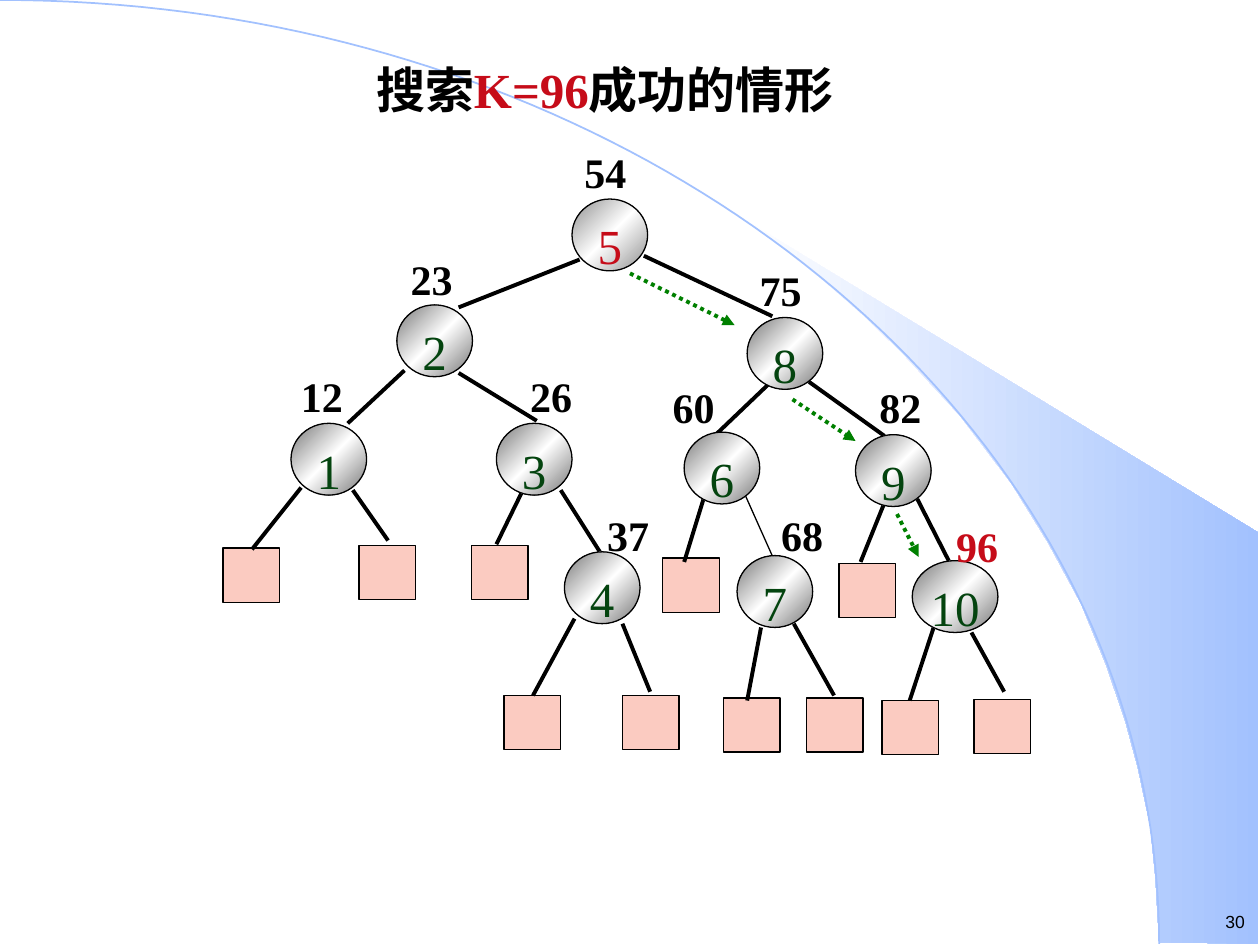
from lxml.etree import SubElement
from pptx import Presentation
from pptx.dml.color import RGBColor
from pptx.enum.dml import MSO_LINE
from pptx.enum.shapes import MSO_CONNECTOR, MSO_SHAPE
from pptx.enum.text import MSO_ANCHOR, MSO_AUTO_SIZE, PP_ALIGN
from pptx.oxml.ns import qn
from pptx.util import Inches, Pt

COLORS = {
    "black": "000000", "red": "C60C19", "digit": "04440F", "path": "008000",
    "leaf": "FBCBC1", "white": "FFFFFF", "sky": "A2C1FE",
    "gray": "767676", "root gray": "909090",
}
RGB = {name: RGBColor.from_string(value) for name, value in COLORS.items()}
SERIF = "Times New Roman"


def write(s, runs, size, font=SERIF, bold=False, align=PP_ALIGN.LEFT, insets=(0.1, 0.05)):
    tf = s.text_frame
    tf.word_wrap = True
    tf.auto_size = MSO_AUTO_SIZE.NONE
    tf.vertical_anchor = MSO_ANCHOR.TOP
    tf.margin_left = tf.margin_right = Inches(insets[0])
    tf.margin_top = Inches(insets[1])
    tf.margin_bottom = Inches(0.01)
    p = tf.paragraphs[0]
    p.alignment = align
    p.space_before = Pt(0)
    for text, color in runs:
        r = p.add_run()
        r.text = text
        r.font.size = Pt(size)
        r.font.name = font
        r.font.bold = bold
        r.font.color.rgb = RGB[color]


def shade(s, stops, angle):
    s.fill.gradient()
    s.fill.gradient_angle = angle
    gs_list = s._element.spPr.find(".//" + qn("a:gsLst"))
    gs_list.clear()
    for position, color in stops:
        gs = SubElement(gs_list, qn("a:gs"), pos=str(position * 1000))
        SubElement(gs, qn("a:srgbClr"), val=COLORS[color])


prs = Presentation()
prs.slide_width, prs.slide_height = Inches(10), Inches(7.5)
slide = prs.slides.add_slide(prs.slide_layouts[5])
sp = slide.shapes

wedge = [
    (9.2, 7.48), (9.99, 7.49), (9.99, 4.23), (5.89, 1.73), (6.24, 1.99), (6.53, 2.22),
    (6.85, 2.5), (7.16, 2.8), (7.62, 3.3), (8.03, 3.84), (8.32, 4.31), (8.58, 4.79),
    (8.78, 5.28), (8.93, 5.72), (9.03, 6.09), (9.13, 6.56), (9.17, 6.96),
]
steps = 80
arc = []
for i in range(steps + 1):
    t = i / steps
    u = 1 - t
    arc.append((3 * u * u * t * 5.08 + 3 * u * t * t * 9.2 + t ** 3 * 9.2,
                3 * u * t * t * 3.35 + t ** 3 * 7.49))

for points, closed in [(wedge, True), (arc, False)]:
    points = [(Inches(x), Inches(y)) for x, y in points]
    builder = sp.build_freeform(*points[0])
    builder.add_line_segments(points[1:], close=closed)
    s = builder.convert_to_shape()
    s.shadow.inherit = False
    if closed:
        shade(s, [(0, "white"), (100, "sky")], 0)
        s.line.fill.background()
    else:
        s.fill.background()
        s.line.color.rgb = RGB["sky"]
        s.line.width = Pt(1)

number = sp.add_textbox(Inches(9.41), Inches(7.18), Inches(0.49), Inches(0.27))
write(number, [("30", "black")], 10, "Arial", align=PP_ALIGN.RIGHT, insets=(0.02, 0.05))

title = sp.title
title.left, title.top = Inches(1.14), Inches(0.42)
title.width, title.height = Inches(7.32), Inches(0.69)
write(title, [("搜索", "black"), ("K=96", "red"), ("成功的情形", "black")], 28,
      bold=True, align=PP_ALIGN.CENTER)
sp._spTree.append(title._element)

leaves = [
    (1.77, 4.35), (2.85, 4.33), (3.74, 4.33), (5.26, 4.43), (6.66, 4.47), (4, 5.52),
    (4.94, 5.52), (5.74, 5.54), (6.4, 5.54), (7, 5.56), (7.73, 5.55),
]
for x, y in leaves:
    s = sp.add_shape(MSO_SHAPE.RECTANGLE, Inches(x), Inches(y), Inches(0.45), Inches(0.43))
    s.shadow.inherit = False
    s.fill.solid()
    s.fill.fore_color.rgb = RGB["leaf"]
    s.line.color.rgb = RGB["black"]
    s.line.width = Pt(0.75)

edges = [
    (5.11, 2.03, 6.13, 2.51), (4.6, 2.06, 3.64, 2.44), (3.21, 2.94, 2.76, 3.36),
    (3.64, 2.96, 4.26, 3.34), (6.12, 3.03, 5.67, 3.46), (6.42, 3.03, 7.02, 3.46),
    (2.39, 3.87, 2, 4.36), (2.8, 3.89, 3.08, 4.29), (4.15, 3.89, 3.94, 4.32),
    (4.45, 3.89, 4.78, 4.41), (5.59, 3.94, 5.43, 4.46), (7.02, 3.99, 6.83, 4.46),
    (7.28, 3.96, 7.56, 4.51), (4.56, 4.91, 4.23, 5.52), (4.94, 4.95, 5.16, 5.49),
    (6.04, 4.98, 5.93, 5.56), (6.3, 4.95, 6.62, 5.52), (7.41, 4.98, 7.22, 5.56),
    (7.71, 5.02, 7.97, 5.49),
]
thin_edges = [(5.91, 3.92, 6.16, 4.48)]
search_path = [(5, 2.17, 5.83, 2.58), (6.29, 3.17, 6.79, 3.5), (7.12, 4.08, 7.29, 4.42)]
line_groups = [(edges, 2.25, "black"), (thin_edges, 0.75, "black"), (search_path, 2.25, "path")]
for ends, width, color in line_groups:
    for end in ends:
        s = sp.add_connector(MSO_CONNECTOR.STRAIGHT, *[Inches(v) for v in end])
        s.line.color.rgb = RGB[color]
        s.line.width = Pt(width)
        if color == "path":
            s.line.dash_style = MSO_LINE.ROUND_DOT
            SubElement(s.line._get_or_add_ln(), qn("a:tailEnd"), type="triangle")
        SubElement(s._element.spPr, qn("a:effectLst"))

nodes = [
    ("5", 4.54, 1.58, "54", 4.54, 1.07), ("2", 3.15, 2.42, "23", 3.16, 1.92),
    ("8", 5.93, 2.52, "75", 5.93, 2.01), ("1", 2.31, 3.36, "12", 2.29, 2.85),
    ("3", 3.94, 3.36, "26", 4.11, 2.85), ("6", 5.43, 3.43, "60", 5.24, 2.94),
    ("9", 6.79, 3.45, "82", 6.88, 2.94), ("4", 4.48, 4.38, "37", 4.72, 3.95),
    ("7", 5.85, 4.41, "68", 6.1, 3.95), ("10", 7.24, 4.45, "96", 7.49, 4.04),
]
for index, x, y, key, key_x, key_y in nodes:
    width = 0.68 if index == "10" else 0.6
    rim, ink = ("root gray", "red") if index == "5" else ("gray", "digit")
    s = sp.add_shape(MSO_SHAPE.OVAL, Inches(x), Inches(y), Inches(width), Inches(0.57))
    s.shadow.inherit = False
    shade(s, [(0, rim), (50, "white"), (100, rim)], 315)
    s.line.color.rgb = RGB["black"]
    s.line.width = Pt(0.75)
    write(s, [(index, ink)], 28, align=PP_ALIGN.CENTER, insets=(0.02, 0.05))

    s = sp.add_textbox(Inches(key_x), Inches(key_y), Inches(0.61), Inches(0.5))
    write(s, [(key, "red" if key == "96" else "black")], 24, bold=True, insets=(0.1, 0.09))

prs.save("out.pptx")
